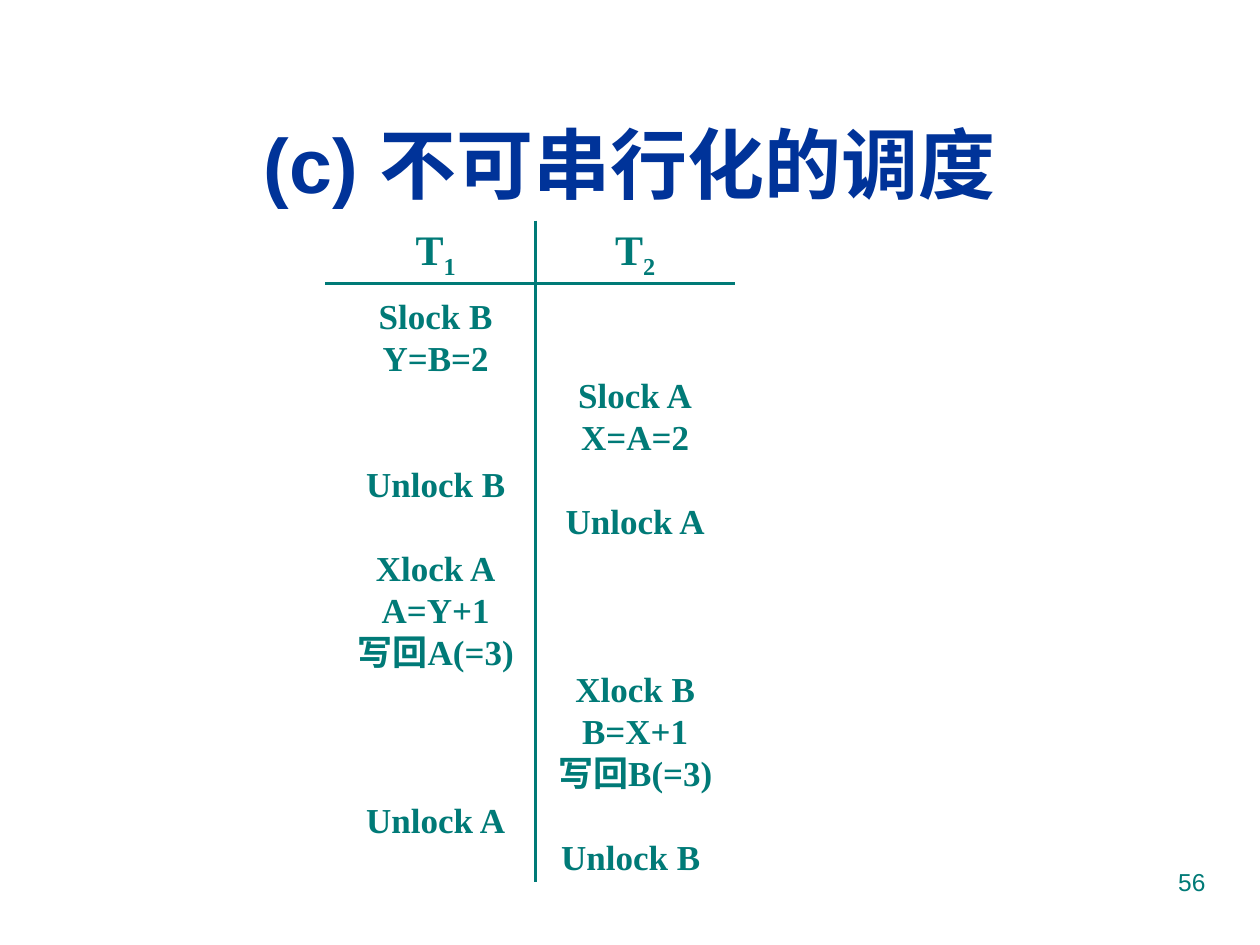
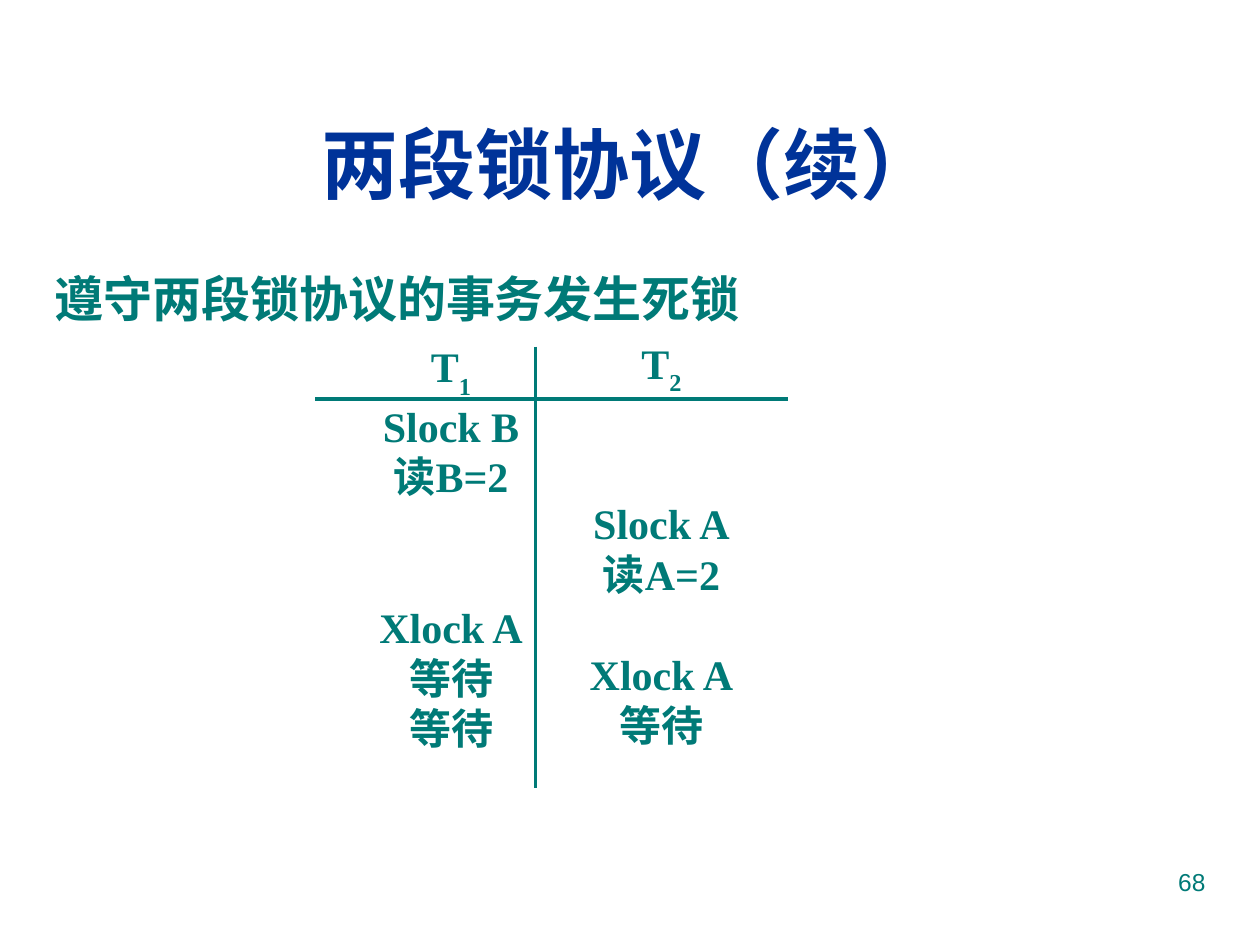
from pptx import Presentation
from pptx.dml.color import RGBColor
from pptx.enum.shapes import MSO_CONNECTOR
from pptx.enum.text import MSO_ANCHOR, MSO_AUTO_SIZE, PP_ALIGN
from pptx.oxml.ns import qn
from pptx.util import Pt
from lxml.etree import SubElement

NAVY = RGBColor(0x00, 0x33, 0x99)
TEAL = RGBColor(0x00, 0x7A, 0x77)
SANS = "Arial"
SERIF = "Times New Roman"
TITLE_ONLY, TITLE_AND_BODY = 5, 1


class ScheduleDeck:
    """Holds the shared style and the slide being built."""

    def __init__(self):
        self.prs = Presentation()
        self.prs.slide_width, self.prs.slide_height = Pt(720), Pt(540)
        self.slide = None

    def new_slide(self, layout, title, number):
        self.slide = self.prs.slides.add_slide(self.prs.slide_layouts[layout])
        heading = self.slide.shapes.title
        self.place(heading, (24, 48, 672, 90))
        heading.text_frame.text = title
        self.format(heading.text_frame.paragraphs[0], 44, SANS, NAVY)
        page = self.text_box((516, 492, 180, 37.5), wrap=True)
        page.text = number
        self.format(page.paragraphs[0], 14, SANS, TEAL, False, PP_ALIGN.RIGHT)

    def place(self, shape, box, anchor=MSO_ANCHOR.MIDDLE):
        shape.left, shape.top, shape.width, shape.height = map(Pt, box)
        shape.text_frame.vertical_anchor = anchor
        shape.text_frame.auto_size = MSO_AUTO_SIZE.NONE

    def format(self, paragraph, size, font, color, bold=True, align=PP_ALIGN.CENTER):
        paragraph.alignment = align
        for run in paragraph.runs:
            run.font.size, run.font.name, run.font.bold = Pt(size), font, bold
            run.font.color.rgb = color

    def text_box(self, box, anchor=MSO_ANCHOR.TOP, wrap=False):
        shape = self.slide.shapes.add_textbox(*map(Pt, box))
        self.place(shape, box, anchor)
        shape.text_frame.word_wrap = wrap
        return shape.text_frame

    def body(self, statement):
        holder = self.slide.placeholders[1]
        self.place(holder, (24, 150, 672, 330), MSO_ANCHOR.TOP)
        holder.text_frame.text = statement
        paragraph = holder.text_frame.paragraphs[0]
        paragraph.space_before = Pt(7)
        self.format(paragraph, 28, SANS, TEAL, align=PP_ALIGN.LEFT)
        properties = paragraph._p.get_or_add_pPr()
        properties.set("marL", str(Pt(27)))
        properties.set("indent", str(-Pt(27)))
        SubElement(properties, qn("a:buNone"))

    def rule(self, x1, y1, x2, y2):
        line = self.slide.shapes.add_connector(
            MSO_CONNECTOR.STRAIGHT, *map(Pt, (x1, y1, x2, y2)))
        line.line.color.rgb = TEAL
        line.line.width = Pt(2.25)
        SubElement(line._element.spPr, qn("a:effectLst"))

    def transaction_name(self, paragraph, index, drop):
        paragraph.text = "T"
        subscript = paragraph.add_run()
        subscript.text = index
        self.format(paragraph, 24, SERIF, TEAL)
        subscript._r.get_or_add_rPr().set("baseline", str(-drop * 1000))

    def steps(self, box, size, pitch, top_gap, steps, name=None):
        """Puts (row, text) steps on rows of equal pitch; a name takes row 0."""
        frame = self.text_box(box)
        frame.margin_top = Pt(top_gap)
        paragraph = frame.paragraphs[0]
        if name:
            self.transaction_name(paragraph, name, 30)
            paragraph.line_spacing = Pt(pitch)
        last_row = 0 if name else None
        for row, step in steps:
            if last_row is not None:
                paragraph = frame.add_paragraph()
                paragraph.space_before = Pt((row - last_row - 1) * pitch)
            paragraph.text = step
            paragraph.line_spacing = Pt(pitch)
            self.format(paragraph, size, SERIF, TEAL)
            last_row = row


def main():
    deck = ScheduleDeck()

    # Non-serializable schedule
    deck.new_slide(TITLE_ONLY, "(c) 不可串行化的调度", "56")
    deck.rule(186, 162, 420, 162)
    deck.rule(306, 126, 306, 504)
    pitch = 24
    t1_steps = [(0, "Slock B"), (1, "Y=B=2"), (4, "Unlock B"), (6, "Xlock A"),
                (7, "A=Y+1"), (8, "写回A(=3)"), (12, "Unlock A")]
    t2_steps = [(2, "Slock A"), (3, "X=A=2"), (5, "Unlock A"), (9, "Xlock B"),
                (10, "B=X+1"), (11, "写回B(=3)"), (13, "Unlock B ")]
    deck.steps((192, 168, 114, 336), 20, pitch, 0.3, t1_steps)
    deck.steps((306, 162, 114, 342), 20, pitch, 3.5 + 2 * pitch, t2_steps)
    for left, index in ((192, "1"), (306, "2")):
        header = deck.text_box((left, 126, 114, 36), MSO_ANCHOR.MIDDLE)
        deck.transaction_name(header.paragraphs[0], index, 25)

    # Deadlock under two-phase locking
    deck.new_slide(TITLE_AND_BODY, "两段锁协议（续）", "68")
    deck.body("遵守两段锁协议的事务发生死锁")
    pitch = 28.8
    t1_steps = [(1, "Slock B"), (2, "读B=2"), (5, "Xlock A"), (6, "等待"), (7, "等待")]
    t2_steps = [(3, "Slock A"), (4, "读A=2"), (6, "Xlock A"), (7, "等待")]
    deck.steps((209.5, 186, 96.5, 282), 24, pitch, 14, t1_steps, "1")
    deck.steps((329.75, 198, 96.5, 282), 24, pitch, 0, t2_steps, "2")
    deck.rule(180, 228, 450, 228)
    deck.rule(306, 198, 306, 450)

    deck.prs.save("out.pptx")


if __name__ == "__main__":
    main()
